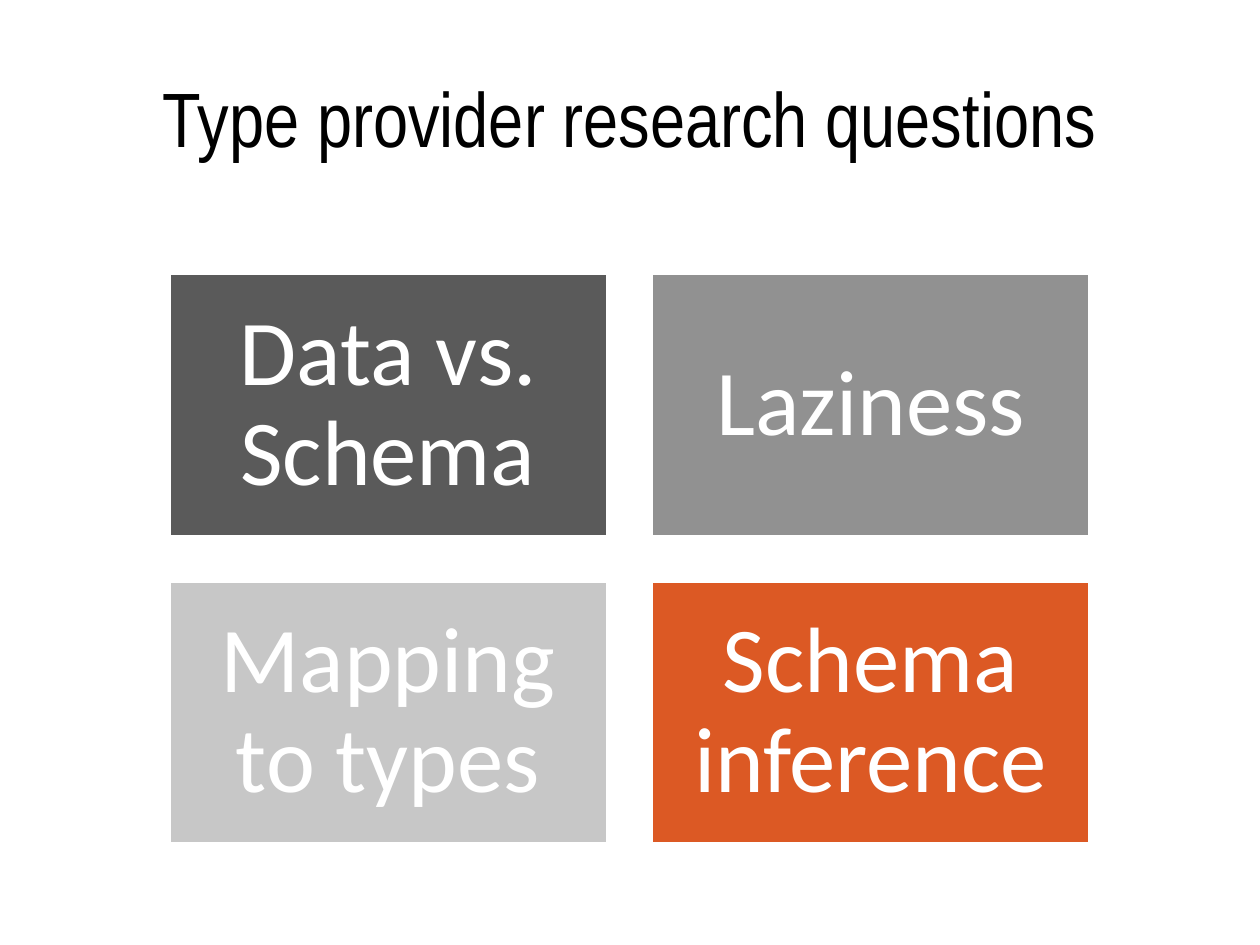
"""Build a slide with four type provider research questions in a two by two grid."""
from pptx import Presentation
from pptx.dml.color import RGBColor
from pptx.enum.shapes import MSO_SHAPE
from pptx.enum.text import MSO_ANCHOR, PP_ALIGN
from pptx.util import Inches, Pt

COLOURS = {"ink": "000000", "paper": "FFFFFF", "dark": "5A5A5A",
           "middle": "919191", "light": "C7C7C7", "accent": "DC5924"}
QUESTIONS = [("Data vs. Schema", "dark"), ("Laziness", "middle"),
             ("Mapping to types", "light"), ("Schema inference", "accent")]
TITLE_FONT = {"name": "Arial Narrow", "size": Pt(44), "bold": False}
TILE_FONT = {"name": "Calibri", "size": Pt(53), "bold": False}
TILE_FRAME = {"word_wrap": True, "vertical_anchor": MSO_ANCHOR.MIDDLE,
              "margin_left": Inches(0.22), "margin_right": Inches(0.22),
              "margin_top": Inches(0.22), "margin_bottom": Inches(0.22)}
COLUMNS = 2
LEFT, TOP, WIDTH, HEIGHT, GAP = 1.34, 2.17, 3.48, 2.09, 0.35


def apply(target, values):
    for name, value in values.items():
        setattr(target, name, value)


def write(box, text, font, colour):
    para = box.text_frame.paragraphs[0]
    para.alignment = PP_ALIGN.CENTER
    span = para.add_run()
    span.text = text
    apply(span.font, font)
    span.font.color.rgb = RGBColor.from_string(COLOURS[colour])
    return para


deck = Presentation()
apply(deck, {"slide_width": Inches(10), "slide_height": Inches(7.5)})
page = deck.slides.add_slide(deck.slide_layouts[5])

title = page.shapes.title
apply(title, {"left": Inches(0.5), "top": Inches(0.3),
              "width": Inches(9), "height": Inches(1.25)})
title.text_frame.vertical_anchor = MSO_ANCHOR.MIDDLE
write(title, "Type provider research questions", TITLE_FONT, "ink")

for index, (question, colour) in enumerate(QUESTIONS):
    row, column = divmod(index, COLUMNS)
    tile = page.shapes.add_shape(
        MSO_SHAPE.RECTANGLE,
        Inches(LEFT + column * (WIDTH + GAP)), Inches(TOP + row * (HEIGHT + GAP)),
        Inches(WIDTH), Inches(HEIGHT))
    tile.shadow.inherit = False
    tile.fill.solid()
    tile.fill.fore_color.rgb = RGBColor.from_string(COLOURS[colour])
    tile.line.color.rgb = RGBColor.from_string(COLOURS["paper"])
    tile.line.width = Pt(2)
    apply(tile.text_frame, TILE_FRAME)
    write(tile, question, TILE_FONT, "paper").line_spacing = 0.9

deck.save("out.pptx")
